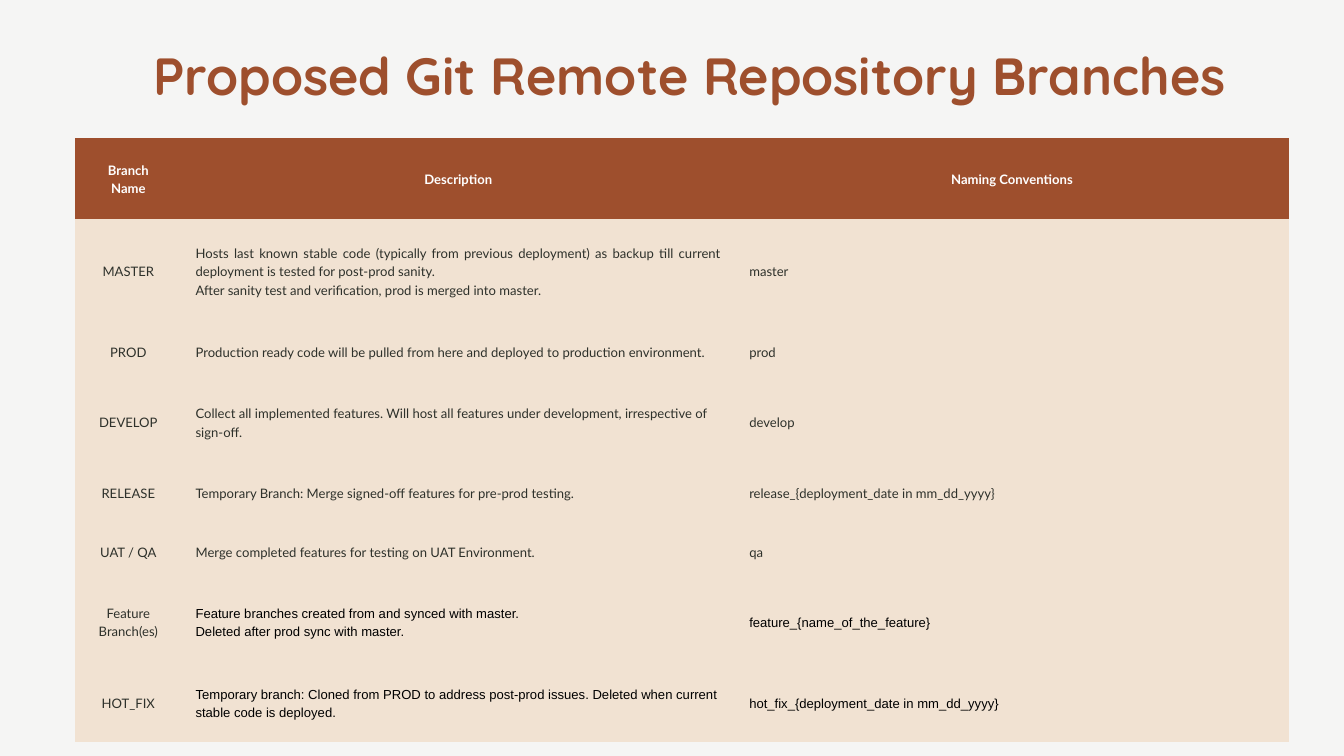
from lxml.etree import SubElement as Sub
from pptx import Presentation
from pptx.dml.color import RGBColor as RGB
from pptx.enum.text import MSO_ANCHOR as Anchor, MSO_AUTO_SIZE as Fit, PP_ALIGN as Align
from pptx.oxml.ns import qn
from pptx.util import Inches, Pt

RUST = RGB(0x9E, 0x4F, 0x2D)
SAND = RGB(0xF1, 0xE2, 0xD2)
PAPER = RGB(0xF5, 0xF5, 0xF4)
INK = RGB(0x2E, 0x31, 0x2B)
WHITE = RGB(0xFF, 0xFF, 0xFF)
BLACK = RGB(0, 0, 0)

COLS = [1.58, 8.24, 8.24]
HEIGHTS = [1.21, 1.53, 0.88, 1.21, 0.88, 0.88, 1.21, 1.19]
HEAD = ["Branch Name", "Description", "Naming Conventions"]
ROWS = [
    ["MASTER",
     "Hosts last known stable code (typically from previous deployment) as backup "
     "till current deployment is tested for post-prod sanity.\n"
     "After sanity test and verification, prod is merged into master.",
     "master"],
    ["PROD",
     "Production ready code will be pulled from here and deployed to production environment.",
     "prod"],
    ["DEVELOP",
     "Collect all implemented features. Will host all features under development, "
     "irrespective of sign-off.",
     "develop"],
    ["RELEASE",
     "Temporary Branch: Merge signed-off features for pre-prod testing.",
     "release_{deployment_date in mm_dd_yyyy}"],
    ["UAT / QA",
     "Merge completed features for testing on UAT Environment.",
     "qa"],
    ["Feature Branch(es)",
     "Feature branches created from and synced with master.\n"
     "Deleted after prod sync with master.",
     "feature_{name_of_the_feature}"],
    ["HOT_FIX",
     "Temporary branch: Cloned from PROD to address post-prod issues. "
     "Deleted when current stable code is deployed.",
     "hot_fix_{deployment_date in mm_dd_yyyy}"],
]
PLAIN = ("Feature Branch(es)", "HOT_FIX")


class Deck:
    def __init__(self, slide):
        self.slide = slide
        self.pad = Inches(0.21)
        back = slide.background.fill
        back.solid()
        back.fore_color.rgb = PAPER

    def words(self, frame, text, face, size, color, bold, align):
        frame.text = text
        for para in frame.paragraphs:
            para.alignment = align
            para.line_spacing = Pt(size * 1.4)
            font = para.font
            font.name, font.size, font.bold = face, Pt(size), bold
            font.color.rgb = color

    def title(self, text, *box):
        frame = self.slide.shapes.add_textbox(*map(Inches, box)).text_frame
        frame.margin_left = frame.margin_right = 0
        frame.margin_top = frame.margin_bottom = 0
        frame.word_wrap = True
        frame.auto_size = Fit.SHAPE_TO_FIT_TEXT
        self.words(frame, text, "Quicksand", 56, RUST, True, Align.CENTER)

    def cell(self, cell, text, fill, color, face, bold, align):
        cell.margin_left = cell.margin_right = self.pad
        cell.margin_top = cell.margin_bottom = self.pad
        cell.vertical_anchor = Anchor.MIDDLE
        props = cell._tc.get_or_add_tcPr()
        for side in ("lnL", "lnR", "lnT", "lnB"):
            Sub(Sub(props, qn("a:" + side), w="0"), qn("a:noFill"))
        cell.fill.solid()
        cell.fill.fore_color.rgb = fill
        self.words(cell.text_frame, text, face, 14, color, bold, align)

    def table(self, left, top):
        grid = self.slide.shapes.add_table(
            len(HEIGHTS), len(COLS), Inches(left), Inches(top),
            Inches(sum(COLS)), Inches(sum(HEIGHTS))).table
        grid.first_row = grid.horz_banding = False
        for col, width in zip(grid.columns, COLS):
            col.width = Inches(width)
        for row, height in zip(grid.rows, HEIGHTS):
            row.height = Inches(height)
        for c, text in enumerate(HEAD):
            self.cell(grid.cell(0, c), text, RUST, WHITE, "Lato", True, Align.CENTER)
        for r, row in enumerate(ROWS, 1):
            body = Align.JUSTIFY if row[0] == "MASTER" else Align.LEFT
            for c, text in enumerate(row):
                plain = c > 0 and row[0] in PLAIN
                color, face = (BLACK, "Arial") if plain else (INK, "Lato")
                align = body if c else Align.CENTER
                self.cell(grid.cell(r, c), text, SAND, color, face, False, align)


def main():
    show = Presentation()
    show.slide_width, show.slide_height = Inches(20), Inches(11.25)
    deck = Deck(show.slides.add_slide(show.slide_layouts[6]))
    deck.title("Proposed Git Remote Repository Branches", 1.95, 0.49, 16.63, 1.04)
    deck.table(1.12, 2.05)
    show.save("out.pptx")


if __name__ == "__main__":
    main()
